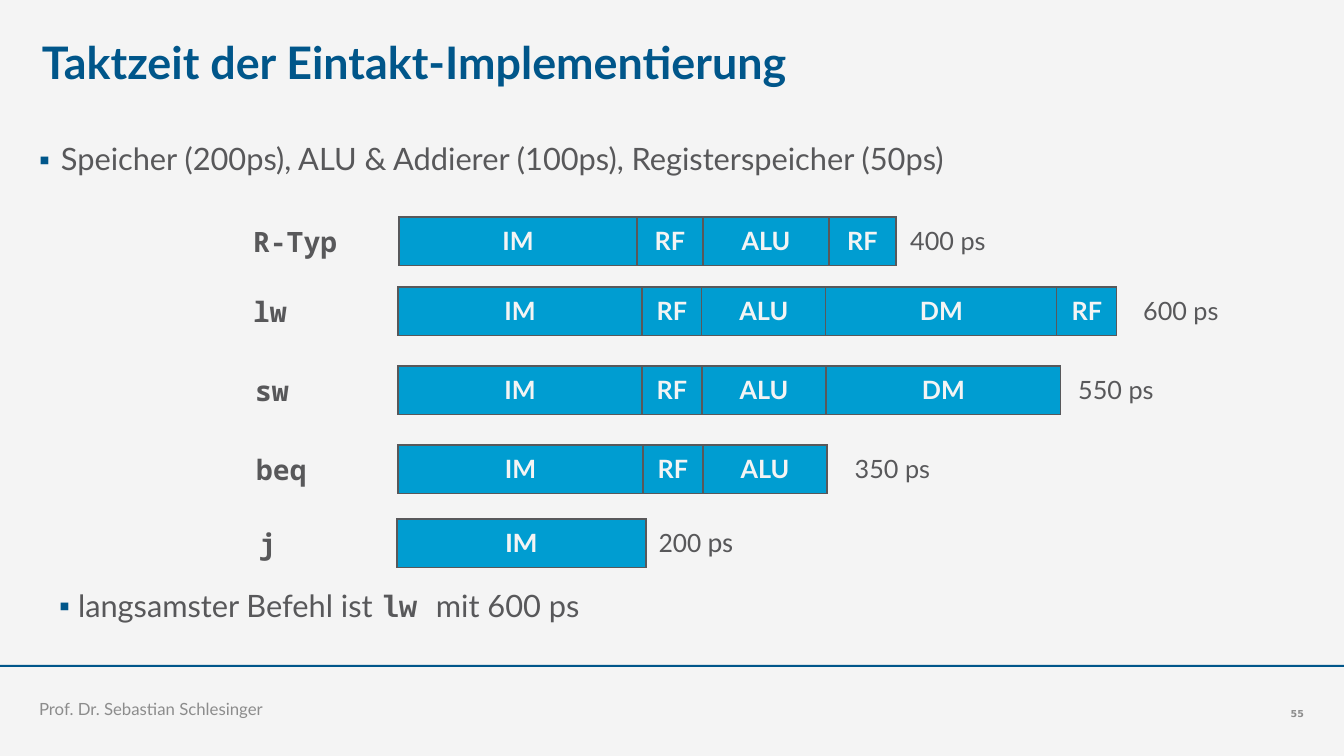
"""Build the slide on the clock period of the single-cycle implementation."""
from lxml import etree
from pptx import Presentation
from pptx.dml.color import RGBColor
from pptx.enum.shapes import MSO_SHAPE
from pptx.enum.text import MSO_ANCHOR, MSO_AUTO_SIZE, PP_ALIGN
from pptx.oxml.ns import qn
from pptx.util import Pt

LEFT, CENTER, RIGHT = PP_ALIGN.LEFT, PP_ALIGN.CENTER, PP_ALIGN.RIGHT
TOP, MIDDLE, BOTTOM = MSO_ANCHOR.TOP, MSO_ANCHOR.MIDDLE, MSO_ANCHOR.BOTTOM
NO_AUTOFIT = MSO_AUTO_SIZE.NONE
RECTANGLE = MSO_SHAPE.RECTANGLE
PX = 914400 / 100.8
THEME = {
    "background": "F4F4F4", "accent": "00568A", "bar": "009DD1",
    "text": "58585A", "muted": "8C8C8C",
    "sans": "Lato", "mono": "Noto Sans Mono", "code": "Courier New",
    "jump": "Calibri", "number": "DejaVu Sans",
    "title_size": 32, "body_size": 22, "label_size": 20, "bar_size": 18,
    "footer_size": 12, "number_size": 6.8,
}
PLAIN_TABLE = "{2D5ABB26-0587-4C30-8999-92F81FD0307C}"
BORDERS = ("a:lnL", "a:lnR", "a:lnT", "a:lnB")
ROW_HEIGHT = 43


def px(*lengths):
    return [round(length * PX) for length in lengths]


def style(font, face, size, color, bold=False):
    font.name = THEME[face]
    font.size = Pt(THEME[size])
    font.color.rgb = RGBColor.from_string(THEME[color])
    font.bold = bold


deck = Presentation()
deck.slide_width, deck.slide_height = px(1344, 756)
slide = deck.slides.add_slide(deck.slide_layouts[1])
slide.background.fill.solid()
slide.background.fill.fore_color.rgb = RGBColor.from_string(THEME["background"])

rule = slide.shapes.add_shape(RECTANGLE, *px(0, 665, 1344, 2))
rule.shadow.inherit = False
rule.fill.solid()
rule.fill.fore_color.rgb = RGBColor.from_string(THEME["accent"])
rule.line.fill.background()

title = slide.shapes.title
title.text_frame.text = "Taktzeit der Eintakt-Implementierung"
body = slide.placeholders[1]
body.text_frame.text = "Speicher (200ps), ALU & Addierer (100ps), Registerspeicher (50ps)"
author = slide.shapes.add_textbox(*px(39, 680, 927, 39))
author.text_frame.text = "Prof. Dr. Sebastian Schlesinger"
page = slide.shapes.add_textbox(*px(1213, 680, 91, 39))
page.text_frame.text = "55"
title.left, title.top, title.width, title.height = px(42, 35, 840, 64)
body.left, body.top, body.width, body.height = px(39, 142, 1265, 490)

conclusion = body.text_frame.add_paragraph()
conclusion.level = 1
for words in ("langsamster Befehl ist ", "lw ", "mit 600 ps"):
    conclusion.add_run().text = words

for paragraph, margin, hanging in ((body.text_frame.paragraphs[0], 22, 22),
                                   (conclusion, 39, 19)):
    properties = paragraph._p.get_or_add_pPr()
    properties.set("marL", str(px(margin)[0]))
    properties.set("indent", str(-px(hanging)[0]))
    bullet_color = etree.SubElement(properties, qn("a:buClr"))
    etree.SubElement(bullet_color, qn("a:srgbClr"), val=THEME["accent"])
    etree.SubElement(properties, qn("a:buChar"), char="▪")
    paragraph.line_spacing = 0.98
    paragraph.space_before = Pt(0)
conclusion.space_before = Pt(293)

for box, anchor, align, face, size, color, bold in (
    (title, TOP, LEFT, "sans", "title_size", "accent", True),
    (body, TOP, LEFT, "sans", "body_size", "text", False),
    (author, BOTTOM, LEFT, "sans", "footer_size", "muted", False),
    (page, BOTTOM, RIGHT, "number", "number_size", "muted", True),
):
    frame = box.text_frame
    frame.word_wrap = True
    frame.auto_size = NO_AUTOFIT
    frame.vertical_anchor = anchor
    frame.margin_left = frame.margin_right = frame.margin_top = frame.margin_bottom = 0
    for paragraph in frame.paragraphs:
        paragraph.alignment = align
        for run in paragraph.runs:
            style(run.font, face, size, color, bold)
style(conclusion.runs[1].font, "code", "body_size", "text", True)

instructions = (
    (243, 217, ("R-Typ", "IM", "RF", "ALU", "RF", "400 ps"),
     (156, 238, 66, 126, 67, 104)),
    (243, 287, ("lw", "IM", "RF", "ALU", "DM", "RF", "600 ps"),
     (155, 244, 60, 124, 231, 60, 128)),
    (245, 366, ("sw", "IM", "RF", "ALU", "DM", "550 ps"),
     (153, 244, 60, 124, 235, 110)),
    (246, 445, ("beq", "IM", "RF", "ALU", "350 ps"),
     (152, 245, 60, 124, 131)),
    (249, 519, ("j", "IM", "200 ps"), (148, 249, 100)),
)
for left, top, entries, widths in instructions:
    timeline = slide.shapes.add_table(
        1, len(entries), *px(left, top, sum(widths), ROW_HEIGHT)).table
    timeline.first_row = timeline.horz_banding = False
    timeline._tbl.tblPr.find(qn("a:tableStyleId")).text = PLAIN_TABLE
    is_jump = entries[0] == "j"
    face, size = ("jump", "label_size") if is_jump else ("sans", "bar_size")
    last = len(entries) - 1
    for index, (entry, width) in enumerate(zip(entries, widths)):
        timeline.columns[index].width = px(width)[0]
        cell = timeline.cell(0, index)
        cell.text_frame.text = entry
        cell.vertical_anchor = MIDDLE
        paragraph = cell.text_frame.paragraphs[0]
        paragraph.alignment = CENTER if index else LEFT
        font = paragraph.runs[0].font
        if index == 0:
            style(font, "mono", "label_size", "text", True)
            drawn = ("a:lnR",)
        elif index == last:
            style(font, face, size, "text")
            drawn = ("a:lnL",)
        else:
            style(font, face, size, "background", True)
            drawn = BORDERS
        cell_properties = cell._tc.get_or_add_tcPr()
        for side in BORDERS:
            border = etree.SubElement(cell_properties, qn(side), w=str(Pt(1)))
            if side in drawn:
                ink = etree.SubElement(border, qn("a:solidFill"))
                etree.SubElement(ink, qn("a:srgbClr"), val=THEME["text"])
            else:
                etree.SubElement(border, qn("a:noFill"))
        if 0 < index < last:
            cell.fill.solid()
            cell.fill.fore_color.rgb = RGBColor.from_string(THEME["bar"])
        else:
            cell.fill.background()

deck.save("out.pptx")
